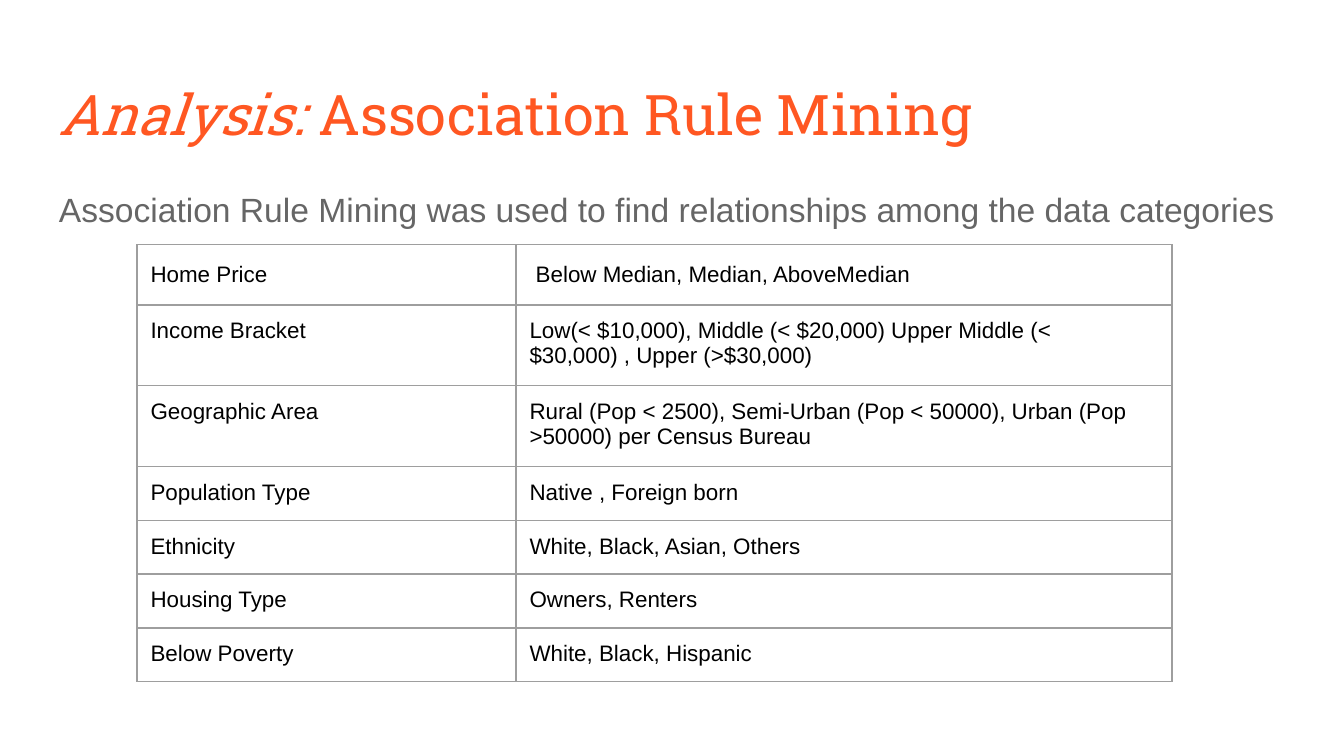
from lxml import etree
from pptx import Presentation
from pptx.dml.color import RGBColor
from pptx.oxml.ns import qn
from pptx.util import Inches, Pt

COLORS = {"title": "FF5722", "body": "666666", "cell": "000000", "border": "9E9E9E"}
MARGIN = Inches(0.1)


def add_span(para, text, font, size, color, italic=False):
    span = para.add_run()
    span.text = text
    span.font.name = font
    span.font.size = Pt(size)
    span.font.italic = italic
    span.font.color.rgb = RGBColor.from_string(COLORS[color])


def add_text_box(page, left, top, width, height):
    frame = page.shapes.add_textbox(
        Inches(left), Inches(top), Inches(width), Inches(height)
    ).text_frame
    frame.word_wrap = True
    frame.margin_left = frame.margin_right = MARGIN
    frame.margin_top = frame.margin_bottom = MARGIN
    return frame.paragraphs[0]


deck = Presentation()
deck.slide_width = Inches(10)
deck.slide_height = deck.slide_width * 9 // 16
page = deck.slides.add_slide(deck.slide_layouts[6])

title = add_text_box(page, 0.34, 0.49, 9.32, 0.63)
add_span(title, "Analysis:", "Roboto Slab", 30, "title", italic=True)
add_span(title, " Association Rule Mining", "Roboto Slab", 30, "title")

intro = add_text_box(page, 0.34, 1.26, 9.32, 3.74)
intro.line_spacing = 1.15
intro.space_after = Pt(16)
add_span(
    intro,
    "Association Rule Mining was used to find relationships among the data categories",
    "Arial", 18, "body",
)

# Category, its values, minimum row height in inches (rows grow to fit the text)
categories = [
    ("Home Price", " Below Median, Median, AboveMedian", 0.45),
    ("Income Bracket",
     "Low(< $10,000), Middle (< $20,000) Upper Middle (< $30,000) , Upper (>$30,000)", 0.43),
    ("Geographic Area",
     "Rural (Pop < 2500), Semi-Urban (Pop < 50000), Urban (Pop >50000) per Census Bureau", 0.43),
    ("Population Type", "Native , Foreign born", 0.28),
    ("Ethnicity", "White, Black, Asian, Others", 0.28),
    ("Housing Type", "Owners, Renters", 0.28),
    ("Below Poverty", "White, Black, Hispanic", 0.28),
]
column_widths = [2.82, 4.88]
table_height = sum(height for _, _, height in categories)

table = page.shapes.add_table(
    len(categories), len(column_widths),
    Inches(1.02), Inches(1.82), Inches(sum(column_widths)), Inches(table_height),
).table
table.first_row = False
table.horz_banding = False
for column, width in zip(table.columns, column_widths):
    column.width = Inches(width)

for row_index, (category, values, height) in enumerate(categories):
    table.rows[row_index].height = Inches(height)
    for column_index, text in enumerate((category, values)):
        cell = table.cell(row_index, column_index)
        cell.margin_left = cell.margin_right = MARGIN
        cell.margin_top = cell.margin_bottom = MARGIN
        para = cell.text_frame.paragraphs[0]
        if row_index == 0:
            para.line_spacing = 1.15
            para.space_after = Pt(16)
        add_span(para, text, "Arial", 12, "cell")

        # Borders come before the fill in the cell properties
        properties = cell._tc.get_or_add_tcPr()
        for side in ("a:lnL", "a:lnR", "a:lnT", "a:lnB"):
            border = etree.SubElement(properties, qn(side), w=str(Pt(0.75)))
            fill = etree.SubElement(border, qn("a:solidFill"))
            etree.SubElement(fill, qn("a:srgbClr"), val=COLORS["border"])
        cell.fill.background()

deck.save("out.pptx")
